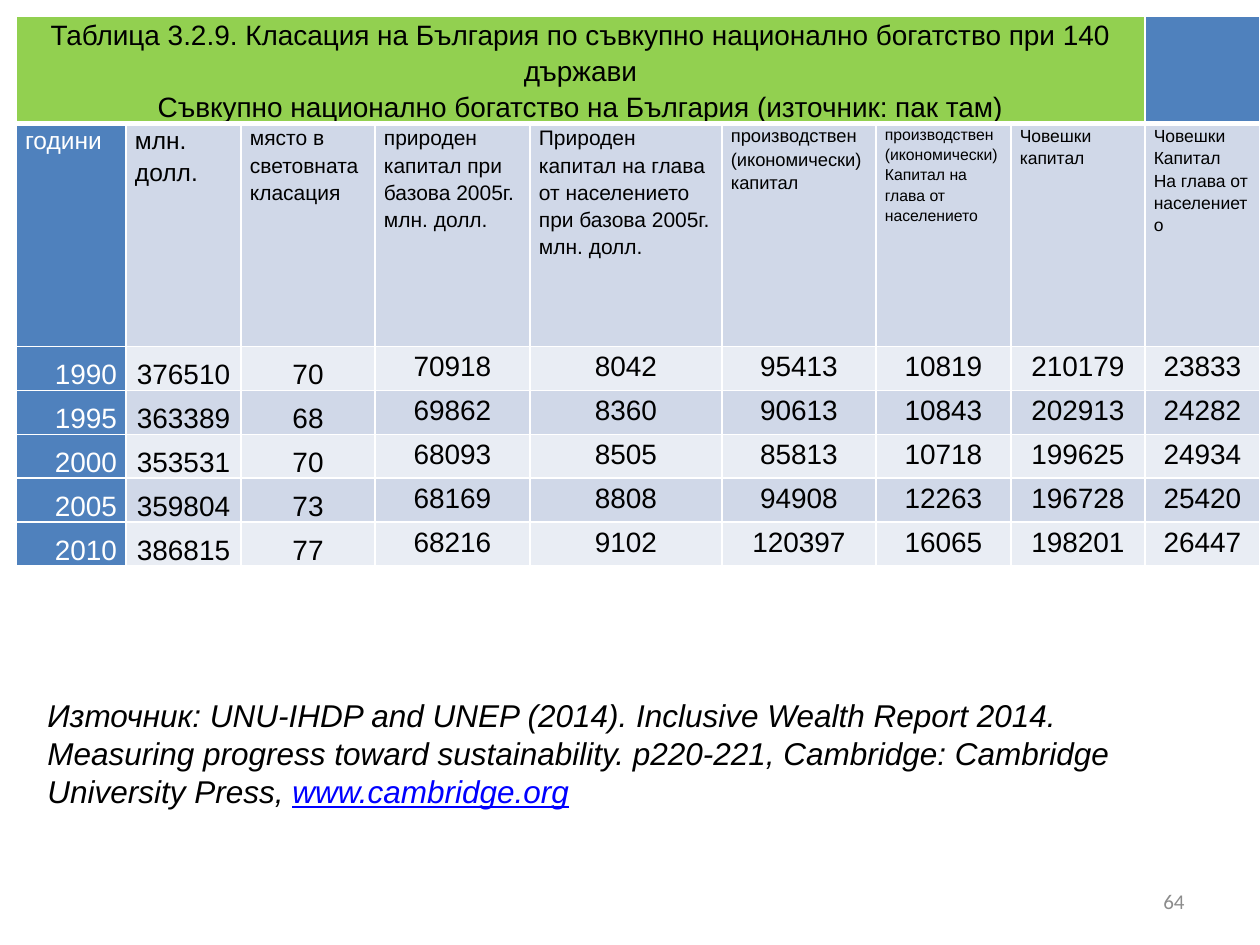
from lxml.etree import SubElement
from pptx import Presentation
from pptx.dml.color import RGBColor
from pptx.enum.text import MSO_ANCHOR, PP_ALIGN
from pptx.oxml.ns import qn
from pptx.util import Emu, Pt

PX = 914400 // 126
COLORS = {
    "title": "92D050", "accent": "4F81BD", "dark_band": "D0D8E8",
    "light_band": "E9EDF4", "white": "FFFFFF", "black": "000000",
    "link": "0000FF", "page": "8C8C8C",
}


def add_run(paragraph, text, size, color="black", font="Arial"):
    run = paragraph.add_run()
    run.text = text
    run.font.size = Pt(size)
    run.font.name = font
    run.font.color.rgb = RGBColor.from_string(COLORS[color])
    return run


def fill_cell(cell, lines, size, fill, color="black", align=PP_ALIGN.LEFT, bottom_width=1):
    cell.margin_left = cell.margin_right = Emu(9 * PX)
    cell.margin_top = cell.margin_bottom = 0
    properties = cell._tc.get_or_add_tcPr()
    for side, width in (("L", 1), ("R", 1), ("T", 1), ("B", bottom_width)):
        border = SubElement(properties, qn(f"a:ln{side}"), w=str(Pt(width)))
        solid = SubElement(border, qn("a:solidFill"))
        SubElement(solid, qn("a:srgbClr"), val=COLORS["white"])
    cell.fill.solid()
    cell.fill.fore_color.rgb = RGBColor.from_string(COLORS[fill])
    for index, line in enumerate(lines):
        paragraph = cell.text_frame.paragraphs[0] if index == 0 else cell.text_frame.add_paragraph()
        paragraph.alignment = align
        paragraph.line_spacing = 1.15
        add_run(paragraph, line, size, color)


presentation = Presentation()
presentation.slide_width = Emu(1260 * PX)
presentation.slide_height = Emu(945 * PX)
slide = presentation.slides.add_slide(presentation.slide_layouts[6])

title_lines = [
    "Таблица 3.2.9. Класация на България по съвкупно национално богатство при 140 държави",
    "Съвкупно национално богатство на България (източник: пак там)",
]
headings = [
    (14, ["години"]),
    (14, ["млн. долл."]),
    (12, ["място в световната класация"]),
    (12, ["природен", "капитал при", "базова 2005г.", "млн. долл."]),
    (12, ["Природен капитал на глава от населението", "при базова 2005г.", "млн. долл."]),
    (10.5, ["производствен", "(икономически)", "капитал"]),
    (9, ["производствен", "(икономически)", "Капитал на глава от населението"]),
    (10, ["Човешки", "капитал"]),
    (10, ["Човешки", "Капитал", "На глава от", "населението"]),
]
wealth_by_year = [
    (1990, 376510, 70, 70918, 8042, 95413, 10819, 210179, 23833),
    (1995, 363389, 68, 69862, 8360, 90613, 10843, 202913, 24282),
    (2000, 353531, 70, 68093, 8505, 85813, 10718, 199625, 24934),
    (2005, 359804, 73, 68169, 8808, 94908, 12263, 196728, 25420),
    (2010, 386815, 77, 68216, 9102, 120397, 16065, 198201, 26447),
]
column_widths = [110, 115, 134, 155, 192, 154, 135, 134, 115]
row_heights = [82, 223] + [44] * len(wealth_by_year)

ranking = slide.shapes.add_table(
    len(row_heights), len(column_widths), Emu(16 * PX), Emu(16 * PX),
    Emu(sum(column_widths) * PX), Emu(sum(row_heights) * PX),
).table
ranking.first_row = False
ranking.horz_banding = False
for column, width in zip(ranking.columns, column_widths):
    column.width = Emu(width * PX)
for row, height in zip(ranking.rows, row_heights):
    row.height = Emu(height * PX)

ranking.cell(0, 0).merge(ranking.cell(0, 7))
fill_cell(ranking.cell(0, 0), title_lines, 16, "title", align=PP_ALIGN.CENTER, bottom_width=3)
fill_cell(ranking.cell(0, 8), [], 16, "accent", bottom_width=3)

for column, (size, lines) in enumerate(headings):
    fill, color = ("accent", "white") if column == 0 else ("dark_band", "black")
    fill_cell(ranking.cell(1, column), lines, size, fill, color)

for row, values in enumerate(wealth_by_year, start=2):
    band = "light_band" if row % 2 == 0 else "dark_band"
    for column, value in enumerate(values):
        cell = ranking.cell(row, column)
        if column == 0:
            fill_cell(cell, [str(value)], 16, "accent", "white", PP_ALIGN.RIGHT)
        else:
            fill_cell(cell, [str(value)], 16, band, align=PP_ALIGN.CENTER)
        if column < 3:
            cell.vertical_anchor = MSO_ANCHOR.BOTTOM

source = slide.shapes.add_textbox(
    Emu(35 * PX), Emu(690 * PX), Emu(1181 * PX), Emu(127 * PX)).text_frame
source.word_wrap = True
citation = source.paragraphs[0]
add_run(
    citation,
    "Източник: UNU-IHDP and UNEP (2014). Inclusive Wealth Report 2014. "
    "Measuring progress toward sustainability. p220-221, Cambridge: "
    "Cambridge University Press, ",
    18,
).font.italic = True
address = add_run(citation, "www.cambridge.org", 18, "link")
address.font.italic = True
address.font.underline = True

page = slide.shapes.add_textbox(
    Emu(903 * PX), Emu(876 * PX), Emu(294 * PX), Emu(50 * PX)).text_frame
page.word_wrap = True
page.vertical_anchor = MSO_ANCHOR.MIDDLE
page.paragraphs[0].alignment = PP_ALIGN.RIGHT
add_run(page.paragraphs[0], "64", 12, "page", "Calibri")

presentation.save("out.pptx")
